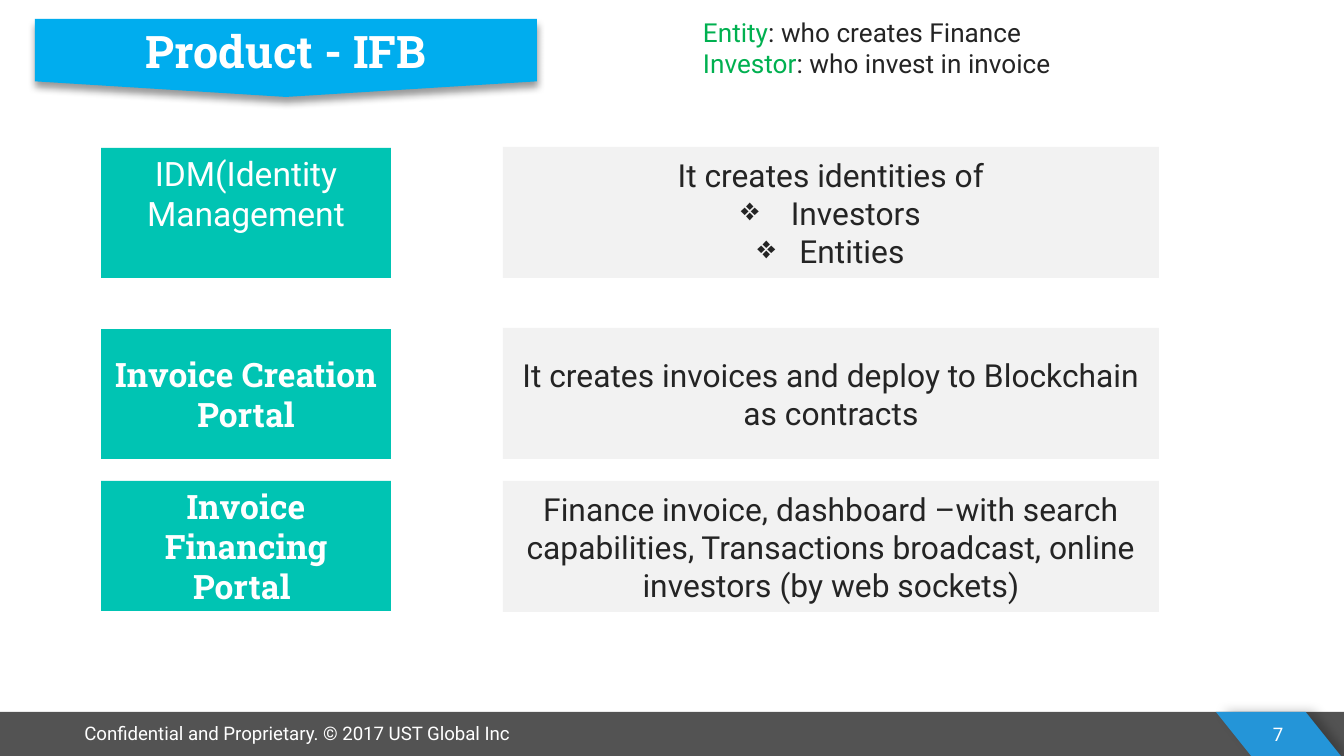
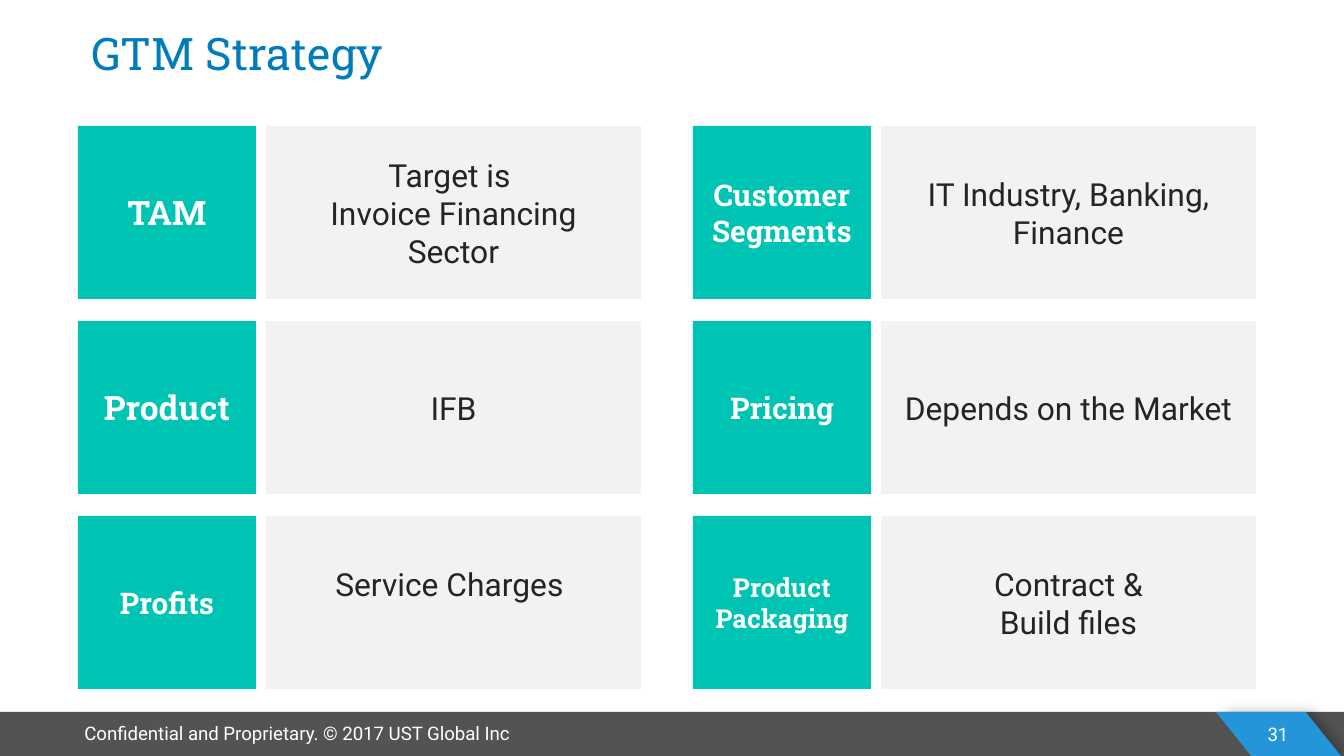
from lxml import etree
from pptx import Presentation
from pptx.dml.color import RGBColor
from pptx.enum.shapes import MSO_SHAPE
from pptx.enum.text import MSO_ANCHOR, PP_ALIGN
from pptx.oxml.ns import qn
from pptx.util import Emu, Pt

PX = 914400 / 134.4
WIDTH, HEIGHT = 1344, 756

WHITE = RGBColor(0xFF, 0xFF, 0xFF)
INK = RGBColor(0x24, 0x24, 0x24)
TEAL = RGBColor(0x00, 0xC4, 0xB3)
PALE = RGBColor(0xF2, 0xF2, 0xF2)
BAND = RGBColor(0x53, 0x53, 0x53)
TAB = RGBColor(0x24, 0x95, 0xD8)
BANNER = RGBColor(0x00, 0xAD, 0xEE)
TITLE = RGBColor(0x00, 0x7C, 0xBA)
GREEN = RGBColor(0x00, 0xB0, 0x50)

SANS, SLAB = "Roboto", "Roboto Slab"
FOOTER = "Confidential and Proprietary. © 2017 UST Global Inc"
BULLET = "❖"

ROLES = [
    [("Entity", GREEN), (": who creates Finance", INK)],
    [("Investor", GREEN), (": who invest in invoice", INK)],
]

# label top, description top, label, label format, description
MODULES = [
    (148, 147, "IDM(Identity Management", dict(font=SANS, bold=False, lift=40),
     ["It creates identities of", BULLET + " Investors", BULLET + "Entities"]),
    (329, 328, "Invoice Creation Portal", {},
     ["It creates invoices and deploy to Blockchain as contracts"]),
    (481, 481, "Invoice Financing Portal ", {},
     ["Finance invoice, dashboard –with search capabilities, "
      "Transactions broadcast, online investors (by web sockets)"]),
]

# label, label size, description, lift of the description
STRATEGY = [
    [("TAM", 18, ["Target is ", "Invoice Financing", "Sector"], 0),
     ("Customer Segments", 16, ["IT Industry, Banking, Finance"], 0)],
    [("Product", 18, ["IFB"], 0),
     ("Pricing", 16, ["Depends on the Market"], 0)],
    [("Profits", 16, ["Service Charges "], 38),
     ("Product Packaging", 14, ["Contract &", "Build files"], 0)],
]


def px(n):
    return Emu(round(n * PX))


def add_bullet(p):
    pPr = p._p.get_or_add_pPr()
    pPr.set("marL", str(px(42)))
    pPr.set("indent", str(-px(42)))
    etree.SubElement(pPr, qn("a:buChar")).set("char", BULLET)


def write(s, paras, size=17, font=SANS, color=INK, bold=False,
          align=PP_ALIGN.CENTER, anchor=MSO_ANCHOR.MIDDLE, wrap=True,
          lift=0, spacing=None):
    """Fill s with paragraphs, each a string or a list of (text, colour) runs.

    lift adds to the bottom inset, in px.
    """
    tf = s.text_frame
    tf.word_wrap = wrap
    tf.vertical_anchor = anchor
    tf.margin_left = tf.margin_right = px(13)
    tf.margin_top, tf.margin_bottom = px(7), px(7 + lift)
    for i, para in enumerate(paras):
        p = tf.add_paragraph() if i else tf.paragraphs[0]
        p.alignment = align
        if spacing:
            p.line_spacing = spacing
        if isinstance(para, str):
            if para.startswith(BULLET):
                add_bullet(p)
                para = para[len(BULLET):]
            para = [(para, color)]
        for text, run_color in para:
            r = p.add_run()
            r.text = text
            r.font.name, r.font.size, r.font.bold = font, Pt(size), bold
            r.font.color.rgb = run_color


def add_shape(slide, kind, box, fill):
    s = slide.shapes.add_shape(kind, *map(px, box))
    s.shadow.inherit = False
    s.fill.solid()
    s.fill.fore_color.rgb = fill
    s.line.fill.background()
    return s


def add_text(slide, box, paras, **fmt):
    s = slide.shapes.add_textbox(*map(px, box))
    write(s, paras, **fmt)


def add_shadow(s, opacity, blur, dist, angle):
    effects = s._element.spPr.find(qn("a:effectLst"))
    shadow = etree.SubElement(
        effects, qn("a:outerShdw"), blurRad=str(Pt(blur)), dist=str(Pt(dist)),
        dir=str(angle * 60000), algn="ctr", rotWithShape="0")
    color = etree.SubElement(shadow, qn("a:srgbClr"), val="000000")
    etree.SubElement(color, qn("a:alpha"), val=str(opacity * 1000))


def add_pair(slide, label_box, text_box, label, paras, label_fmt, lift=0):
    """Teal label with its pale description beside it."""
    s = add_shape(slide, MSO_SHAPE.RECTANGLE, label_box, TEAL)
    write(s, [label], **{**dict(size=18, font=SLAB, color=WHITE, bold=True),
                         **label_fmt})
    s = add_shape(slide, MSO_SHAPE.RECTANGLE, text_box, PALE)
    write(s, paras, lift=lift)


def new_slide(prs, number):
    slide = prs.slides.add_slide(prs.slide_layouts[6])
    add_shape(slide, MSO_SHAPE.RECTANGLE, (0, 712, WIDTH, 44), BAND)
    s = add_shape(slide, MSO_SHAPE.PARALLELOGRAM, (1216, 712, 125, 44), TAB)
    s.adjustments[0] = 0.8
    s._element.spPr.xfrm.set("flipH", "1")
    add_shadow(s, 26, 6, 4, 0)
    small = dict(size=10, color=WHITE)
    add_text(slide, (66, 715, 462, 36), [FOOTER], wrap=False,
             anchor=MSO_ANCHOR.TOP, **small)
    add_text(slide, (1223, 714, 110, 40), [str(number)], **small)
    return slide


def product_slide(prs):
    slide = new_slide(prs, 7)
    s = add_shape(slide, MSO_SHAPE.FLOWCHART_OFFPAGE_CONNECTOR,
                  (35, 19, 502, 78), BANNER)
    add_shadow(s, 40, 4, 3, 90)
    write(s, ["Product - IFB"], size=24, font=SLAB, color=WHITE, bold=True)
    add_text(slide, (690, 9, 376, 115), ROLES, size=14, wrap=False,
             align=PP_ALIGN.LEFT, anchor=MSO_ANCHOR.TOP)
    for label_top, text_top, label, label_fmt, paras in MODULES:
        add_pair(slide, (101, label_top, 290, 130), (503, text_top, 656, 131),
                 label, paras, label_fmt)


def strategy_slide(prs):
    slide = new_slide(prs, 31)
    add_text(slide, (78, 13, 1203, 71), ["GTM Strategy"], size=24, font=SLAB,
             color=TITLE, align=PP_ALIGN.LEFT, anchor=MSO_ANCHOR.TOP,
             spacing=1.1)
    for row, pairs in enumerate(STRATEGY):
        for col, (label, size, paras, lift) in enumerate(pairs):
            x, y = 78 + 615 * col, 126 + 195 * row
            add_pair(slide, (x, y, 178, 173), (x + 188, y, 375, 173),
                     label, paras, dict(size=size), lift)


def main():
    prs = Presentation()
    prs.slide_width, prs.slide_height = px(WIDTH), px(HEIGHT)
    product_slide(prs)
    strategy_slide(prs)
    prs.save("out.pptx")


if __name__ == "__main__":
    main()
